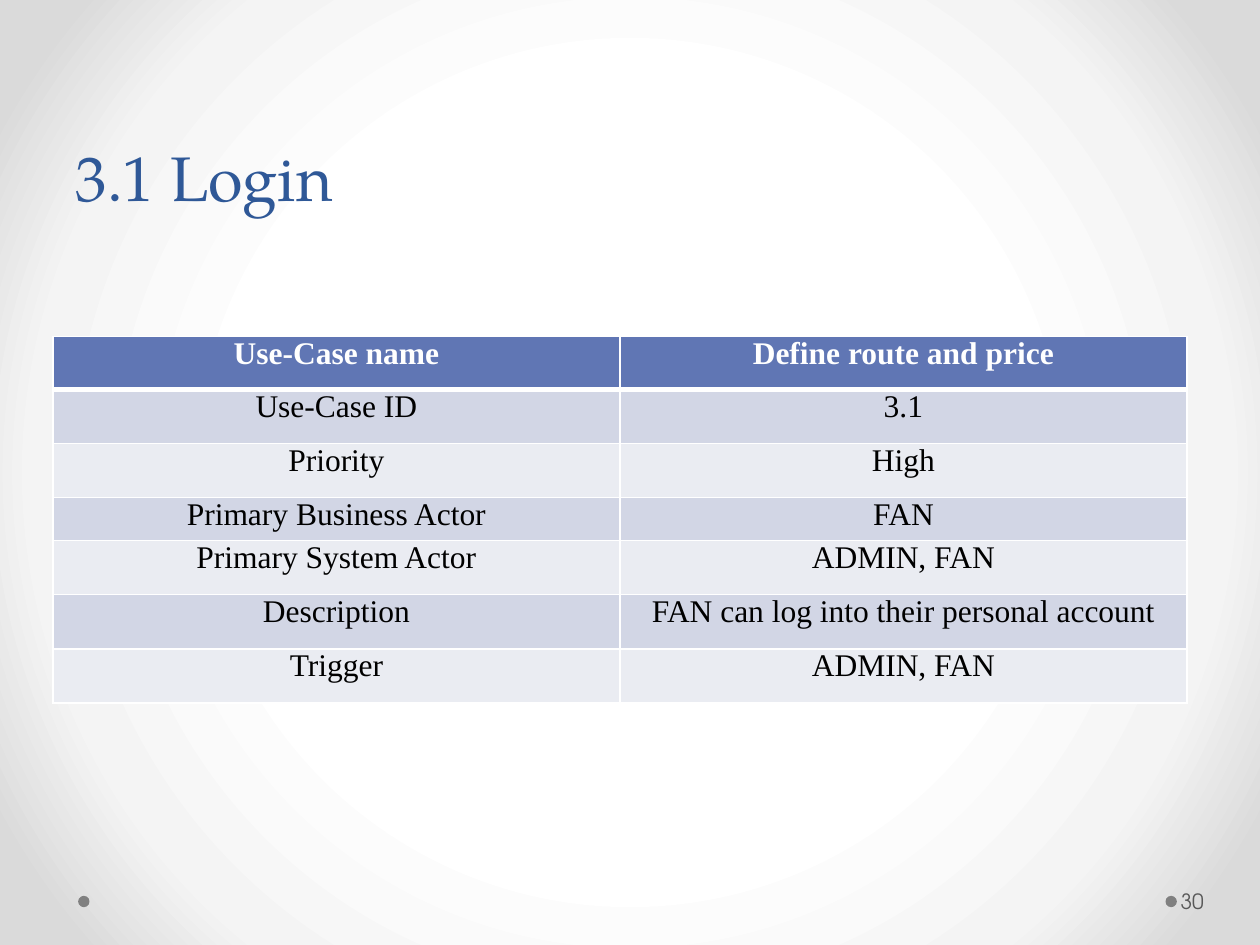
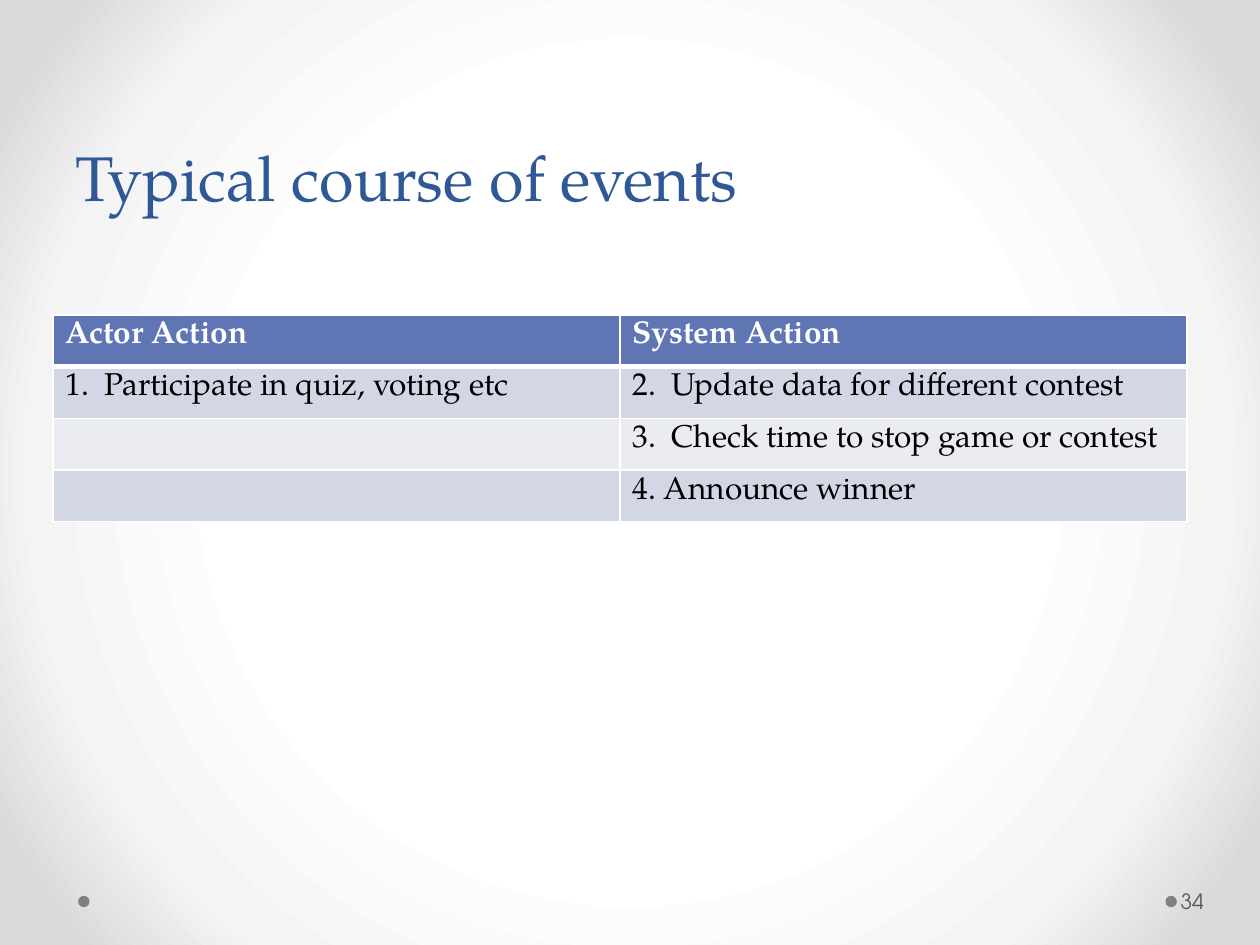
from lxml.etree import SubElement
from pptx import Presentation
from pptx.dml.color import RGBColor as Rgb
from pptx.enum.shapes import MSO_SHAPE as Shape
from pptx.enum.text import MSO_ANCHOR as Anchor, MSO_AUTO_SIZE as AutoSize, PP_ALIGN as Align
from pptx.oxml.ns import qn
from pptx.util import Pt

PX = 9144
TITLE_ONLY = 5
SERIF, SANS, TIMES = "TeX Gyre Pagella", "TeX Gyre Adventor", "Times New Roman"
COLORS = {
    "title": "2F5897", "header": "6076B4", "odd": "D2D6E5", "even": "EAECF2",
    "white": "FFFFFF", "text": "000000", "dot": "808080", "number": "595959",
}
BACKDROP = [(50, "FFFFFF"), (76, "F4F4F4"), (92, "DADADA")]
USE_CASE = [
    ("Use-Case name", "Define route and price"),
    ("Use-Case ID", "3.1"),
    ("Priority", "High"),
    ("Primary Business Actor", "FAN"),
    ("Primary System Actor", "ADMIN, FAN"),
    ("Description", "FAN can log into their personal account"),
    ("Trigger", "ADMIN, FAN"),
]
EVENTS = [
    ("Actor Action", "System Action"),
    ("1.\tParticipate in quiz, voting etc", "2.\tUpdate data for different contest"),
    ("", "3.\tCheck time to stop game or contest"),
    ("", "4. Announce winner"),
]


class Deck:
    """Holds the shared style and the slide being built."""

    def __init__(self):
        self.prs = Presentation()
        self.prs.slide_width, self.prs.slide_height = 1000 * PX, 750 * PX
        self.slide = None

    def color(self, name):
        return Rgb.from_string(COLORS[name])

    def start(self, heading, number):
        self.slide = self.prs.slides.add_slide(self.prs.slide_layouts[TITLE_ONLY])
        self.backdrop()
        for left in (925, 62):
            self.dot(left, 711)
        self.title(heading)
        self.page_number(number)

    def backdrop(self):
        fill = self.slide.background.fill
        fill.gradient()
        gradient = self.slide.element.find(".//" + qn("a:gradFill"))
        for child in list(gradient):
            gradient.remove(child)
        stops = SubElement(gradient, qn("a:gsLst"))
        for position, shade in BACKDROP:
            stop = SubElement(stops, qn("a:gs"), pos=str(position * 1000))
            SubElement(stop, qn("a:srgbClr"), val=shade)
        circle = SubElement(gradient, qn("a:path"), attrib={"path": "circle"})
        SubElement(circle, qn("a:fillToRect"), l="50000", t="50000", r="50000", b="50000")

    def dot(self, left, top):
        dot = self.slide.shapes.add_shape(Shape.OVAL, left * PX, top * PX, 9 * PX, 9 * PX)
        dot.shadow.inherit = False
        dot.fill.solid()
        dot.fill.fore_color.rgb = self.color("dot")
        dot.line.fill.background()

    def add_words(self, paragraph, words, font, size, color, bold=False):
        run = paragraph.add_run()
        run.text = words
        run.font.name, run.font.size, run.font.bold = font, Pt(size), bold
        run.font.color.rgb = self.color(color)

    def title(self, heading):
        title = self.slide.shapes.title
        title.left, title.top, title.width, title.height = 50 * PX, 0, 900 * PX, 175 * PX
        frame = title.text_frame
        frame.auto_size, frame.vertical_anchor = AutoSize.NONE, Anchor.BOTTOM
        line = frame.paragraphs[0]
        line.alignment, line.line_spacing = Align.LEFT, Pt(58)
        self.add_words(line, heading, SERIF, 36, "title")

    def page_number(self, number):
        frame = self.slide.shapes.add_textbox(934 * PX, 695 * PX, 61 * PX, 40 * PX).text_frame
        frame.word_wrap, frame.vertical_anchor = True, Anchor.MIDDLE
        frame.margin_left = 3 * PX
        frame.margin_right = frame.margin_top = frame.margin_bottom = 5 * PX
        self.add_words(frame.paragraphs[0], str(number), SANS, 12, "number")

    def borders(self, cell, row):
        properties = cell._tc.get_or_add_tcPr()
        for side in "LRTB":
            heavy = (row, side) in ((0, "B"), (1, "T"))
            edge = SubElement(properties, qn("a:ln" + side), w=str(Pt(3 if heavy else 1)))
            ink = SubElement(edge, qn("a:solidFill"))
            SubElement(ink, qn("a:srgbClr"), val=COLORS["white"])

    def table(self, rows, top, heights, font, align, inset_x, inset_y):
        grid = self.slide.shapes.add_table(
            len(rows), 2, 42 * PX, top * PX, 900 * PX, sum(heights) * PX).table
        for row, (entries, height) in enumerate(zip(rows, heights)):
            grid.rows[row].height = height * PX
            band = "header" if row == 0 else "odd" if row % 2 else "even"
            for column, words in enumerate(entries):
                cell = grid.cell(row, column)
                cell.margin_left = cell.margin_right = inset_x * PX
                cell.margin_top = cell.margin_bottom = inset_y * PX
                self.borders(cell, row)
                cell.fill.solid()
                cell.fill.fore_color.rgb = self.color(band)
                line = cell.text_frame.paragraphs[0]
                line.alignment = align
                if "\t" in words:
                    tabs = SubElement(line._p.get_or_add_pPr(), qn("a:tabLst"))
                    SubElement(tabs, qn("a:tab"), pos=str(31 * PX), algn="l")
                if words:
                    self.add_words(line, words, font, 18, "text" if row else "white", row == 0)


def main():
    deck = Deck()
    deck.start("3.1 Login", 30)
    deck.table(USE_CASE, 267, [42, 43, 43, 34, 43, 43, 43], TIMES, Align.CENTER, 7, 0)
    deck.start("Typical course of events", 34)
    deck.table(EVENTS, 250, [41] * len(EVENTS), SERIF, Align.LEFT, 10, 5)
    deck.prs.save("out.pptx")


if __name__ == "__main__":
    main()
